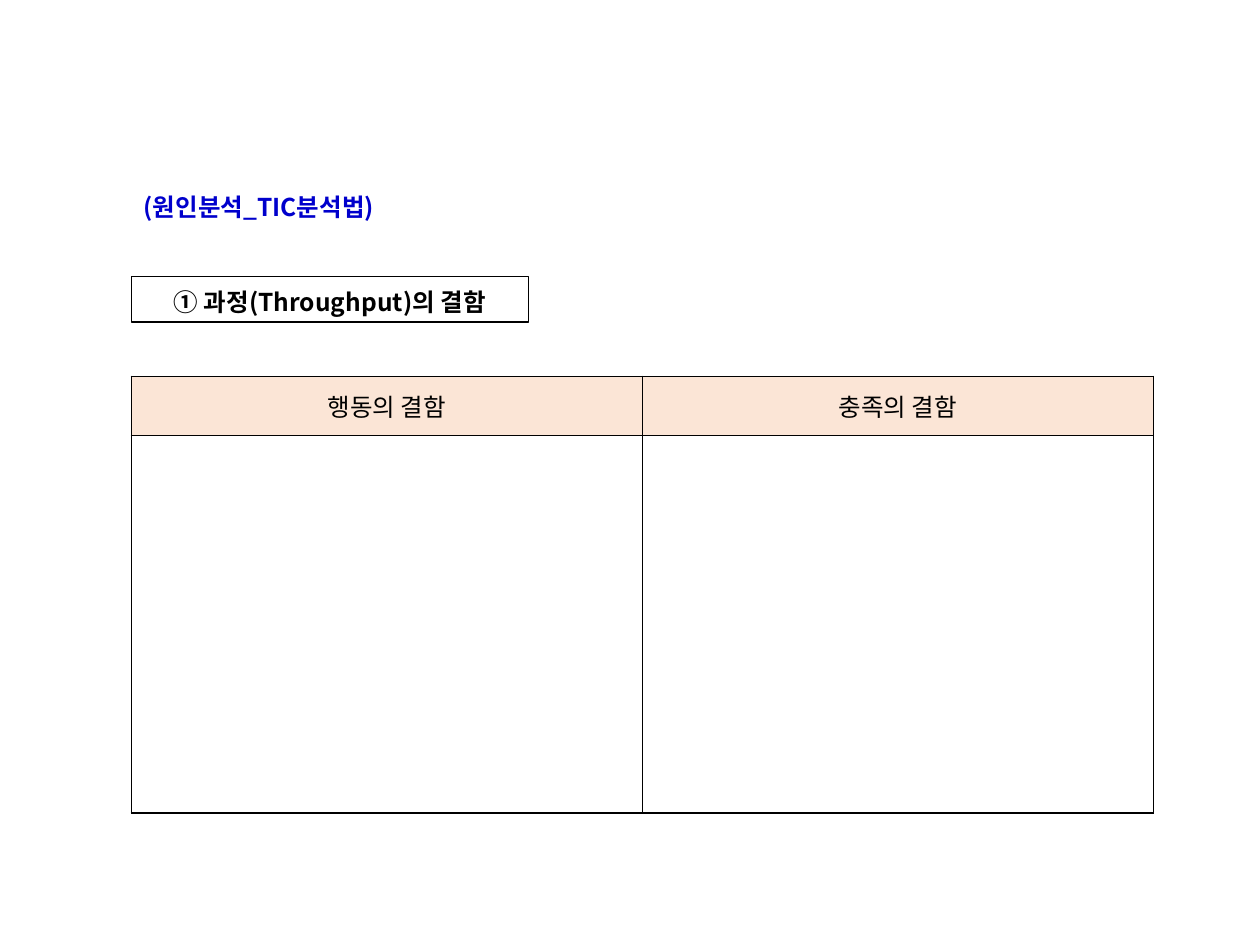
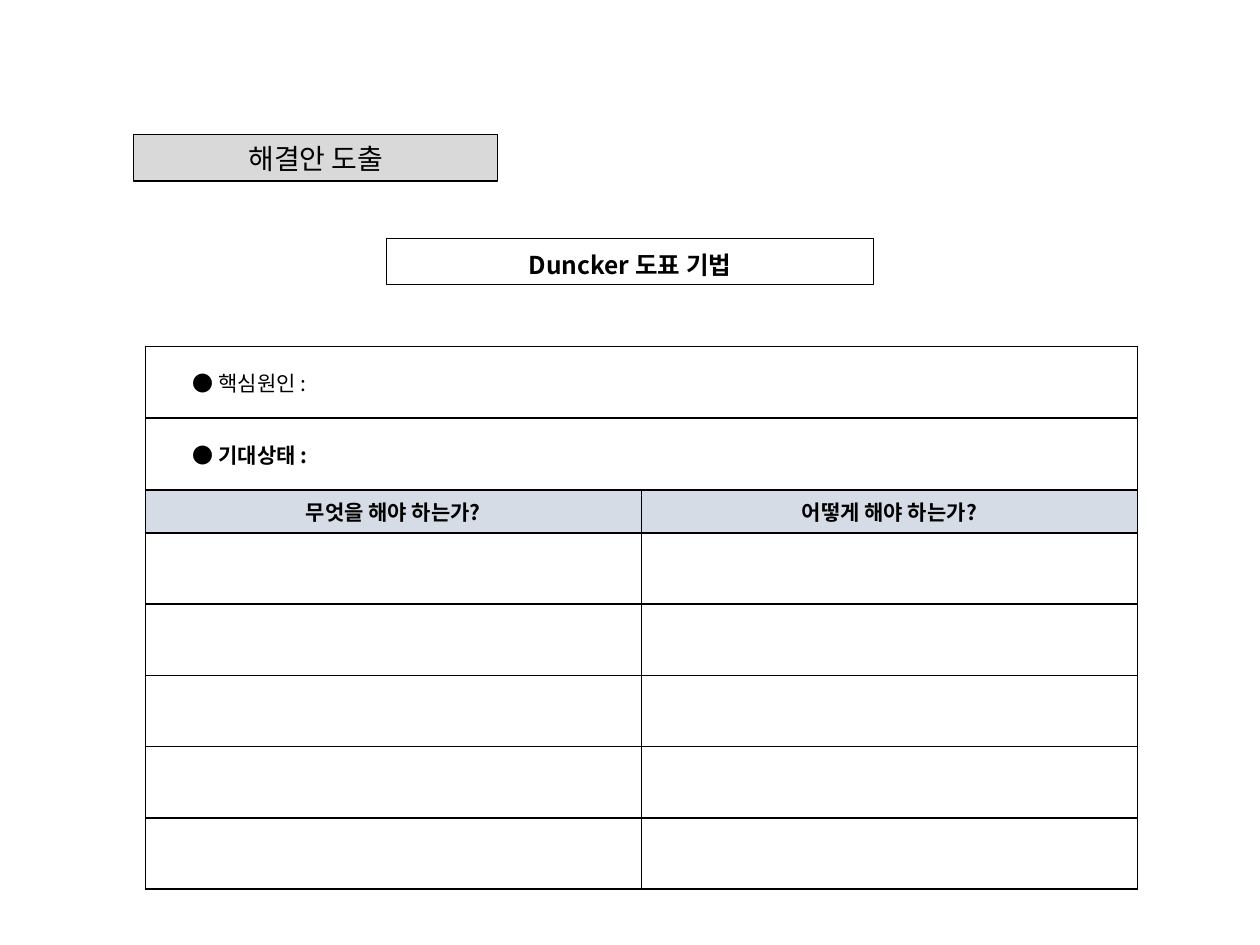
from lxml import etree
from pptx import Presentation
from pptx.dml.color import RGBColor
from pptx.enum.shapes import MSO_SHAPE
from pptx.enum.text import MSO_ANCHOR, PP_ALIGN
from pptx.oxml.ns import qn
from pptx.util import Pt

RECTANGLE = MSO_SHAPE.RECTANGLE
MIDDLE = MSO_ANCHOR.MIDDLE
LEFT = PP_ALIGN.LEFT
CENTER = PP_ALIGN.CENTER

FONT = "Noto Sans CJK KR"
BLACK = "000000"
BLUE = "0000CC"
GRAY = "D9D9D9"
PEACH = "FBE5D6"
STEEL = "D6DCE5"


def color(value):
    return RGBColor.from_string(value)


def paint(fill, value):
    if value:
        fill.solid()
        fill.fore_color.rgb = color(value)
    else:
        fill.background()


def write(frame, text, size=14, font=FONT, ink=BLACK, bold=False,
          align=CENTER, spacing=1.0, indent=0):
    paragraph = frame.paragraphs[0]
    paragraph.alignment = align
    paragraph.line_spacing = spacing
    if indent:
        paragraph._p.get_or_add_pPr().set("marL", str(Pt(indent)))
    run = paragraph.add_run()
    run.text = text
    run.font.size = Pt(size)
    run.font.name = font
    run.font.bold = bold
    run.font.color.rgb = color(ink)
    east_asian = etree.SubElement(run._r.get_or_add_rPr(), qn("a:ea"))
    east_asian.set("typeface", FONT)


def add_borders(cell, width=1):
    properties = cell._tc.get_or_add_tcPr()
    for position, side in enumerate(("a:lnL", "a:lnR", "a:lnT", "a:lnB")):
        line = etree.Element(qn(side), w=str(Pt(width)))
        fill = etree.SubElement(line, qn("a:solidFill"))
        etree.SubElement(fill, qn("a:srgbClr"), val=BLACK)
        properties.insert(position, line)


class Worksheet:
    def __init__(self):
        self.presentation = Presentation()
        self.presentation.slide_width = Pt(720)
        self.presentation.slide_height = Pt(540)
        self.slide = None

    def new_slide(self):
        layout = self.presentation.slide_layouts[6]
        self.slide = self.presentation.slides.add_slide(layout)

    def label(self, text, left, top, width, height, **style):
        shape = self.slide.shapes.add_textbox(
            Pt(left), Pt(top), Pt(width), Pt(height))
        shape.text_frame.word_wrap = True
        shape.text_frame.vertical_anchor = MIDDLE
        write(shape.text_frame, text, **style)

    def box(self, text, left, top, width, height, fill=None, **style):
        shape = self.slide.shapes.add_shape(
            RECTANGLE, Pt(left), Pt(top), Pt(width), Pt(height))
        shape.shadow.inherit = False
        paint(shape.fill, fill)
        shape.line.color.rgb = color(BLACK)
        shape.line.width = Pt(0.75)
        shape.text_frame.word_wrap = True
        shape.text_frame.vertical_anchor = MIDDLE
        write(shape.text_frame, text, **style)

    def heading(self, text, left, top, width):
        self.box(text, left, top, width, 26, bold=True, spacing=1.2)

    def grid(self, left, top, width, row_heights):
        table = self.slide.shapes.add_table(
            len(row_heights), 2, Pt(left), Pt(top), Pt(width),
            Pt(sum(row_heights))).table
        table.first_row = False
        table.horz_banding = False
        for column in table.columns:
            column.width = Pt(width / 2)
        for row, height in zip(table.rows, row_heights):
            row.height = Pt(height)
            for cell in row.cells:
                paint(cell.fill, None)
                add_borders(cell)
        return table

    def cell(self, cell, text, fill=None, **style):
        cell.vertical_anchor = MIDDLE
        paint(cell.fill, fill)
        write(cell.text_frame, text, **style)

    def header_row(self, table, row, texts, fill, **style):
        for column, text in enumerate(texts):
            self.cell(table.cell(row, column), text, fill, **style)


def build_cause_analysis(sheet):
    sheet.new_slide()
    sheet.label("(원인분석_TIC분석법)", 75, 106, 217, 24.5,
                ink=BLUE, bold=True, align=LEFT)
    sheet.heading("① 과정(Throughput)의 결함", 75, 158, 227)
    table = sheet.grid(75, 215, 584, [34, 215.5])
    sheet.header_row(table, 0, ["행동의 결함", "충족의 결함"], PEACH)


def build_solution(sheet):
    sheet.new_slide()
    sheet.box("해결안 도출", 76.5, 77, 208, 26.5, fill=GRAY,
              size=16, font="Calibri")
    sheet.heading("Duncker 도표 기법", 221, 136.5, 278)
    table = sheet.grid(83, 198, 567, [41, 41, 24.5] + [40.75] * 5)
    for row, (text, bold) in enumerate(
            [("● 핵심원인 :", False), ("● 기대상태 :", True)]):
        table.cell(row, 0).merge(table.cell(row, 1))
        sheet.cell(table.cell(row, 0), text, size=12, bold=bold,
                   align=LEFT, indent=20)
    sheet.header_row(table, 2, ["무엇을 해야 하는가?", "어떻게 해야 하는가?"],
                     STEEL, size=12, bold=True)


def main():
    sheet = Worksheet()
    build_cause_analysis(sheet)
    build_solution(sheet)
    sheet.presentation.save("out.pptx")


if __name__ == "__main__":
    main()
